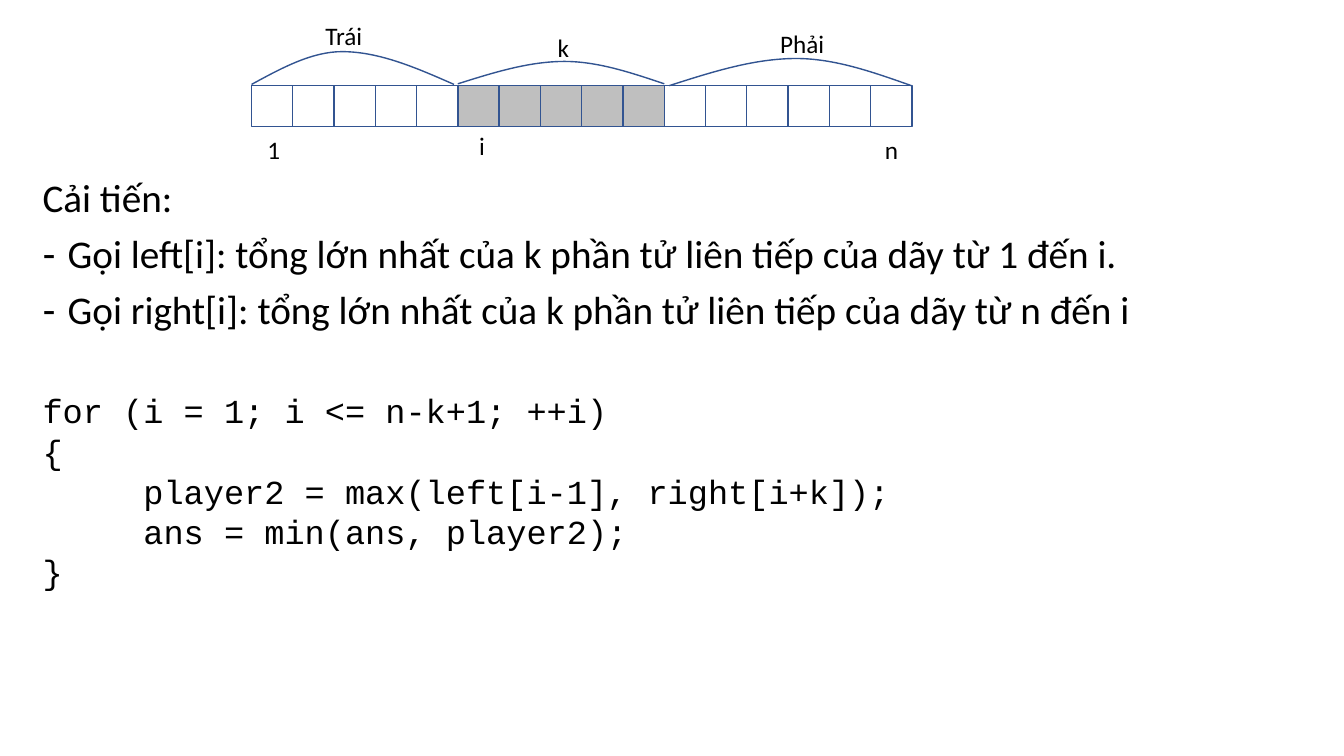
from typing import NamedTuple

from lxml import etree
from pptx import Presentation
from pptx.dml.color import RGBColor
from pptx.enum.shapes import MSO_SHAPE
from pptx.enum.text import MSO_ANCHOR, MSO_AUTO_SIZE, PP_ALIGN
from pptx.oxml.ns import qn
from pptx.util import Pt

RECT = MSO_SHAPE.RECTANGLE
TOP = MSO_ANCHOR.TOP
NO_FIT = MSO_AUTO_SIZE.NONE
LEFT, CENTER = PP_ALIGN.LEFT, PP_ALIGN.CENTER

BLUE, GREY, BLACK = "325491", "BFBFBF", "000000"
BODY_FONT, CODE_FONT = "Calibri", "Courier New"
ROW_LEFT, ROW_TOP, CELL = 179.7, 60.9, 29.48
CELL_COUNT = 16
WINDOW = range(5, 10)
BULLET_INDENT = 18
TAB_STOPS = (72, 144)


class Arc(NamedTuple):
    start: tuple[float, float]
    peak: tuple[float, float]
    end: tuple[float, float]


class Label(NamedTuple):
    text: str
    left: float
    top: float
    width: float
    align: PP_ALIGN


class Line(NamedTuple):
    text: str
    bullet: bool = False
    code: bool = False
    before: float = 0


ARCS = [
    Arc((179.7, 60.3), (244.3, 36.9), (324.3, 60.3)),
    Arc((327, 59.9), (403.2, 43.9), (474.5, 59.9)),
    Arc((478.1, 61.2), (568.8, 41.8), (651, 61.2)),
]
LABELS = [
    Label("k", 391.2, 19.2, 28.8, LEFT),
    Label("Trái", 225.4, 11.2, 47.5, LEFT),
    Label("Phải", 550.2, 17, 47.5, LEFT),
    Label("i", 329.6, 89.2, CELL, CENTER),
    Label("1", 180.9, 92.6, CELL, CENTER),
    Label("n", 622, 92.6, CELL, CENTER),
]
LINES = [
    Line("Cải tiến:", before=10),
    Line("Gọi left[i]: tổng lớn nhất của k phần tử liên tiếp của dãy từ 1 đến i.",
         bullet=True, before=10),
    Line("Gọi right[i]: tổng lớn nhất của k phần tử liên tiếp của dãy từ n đến i",
         bullet=True, before=10),
    Line("for (i = 1; i <= n-k+1; ++i)", code=True, before=40.5),
    Line("{", code=True),
    Line("\t\tplayer2 = max(left[i-1], right[i+k]);", code=True),
    Line("\t\tans = min(ans, player2);", code=True),
    Line("}", code=True),
]


def rgb(color: str) -> RGBColor:
    return RGBColor.from_string(color)


def format_with(target, values: dict) -> None:
    for name, value in values.items():
        setattr(target, name, value)


def add_run(p, text: str, size: float, font: str) -> None:
    r = p.add_run()
    r.text = text
    format_with(r.font, {"size": Pt(size), "name": font})
    r.font.color.rgb = rgb(BLACK)


def outline(sp, fill: str | None = None) -> None:
    sp.shadow.inherit = False
    if fill:
        sp.fill.solid()
        sp.fill.fore_color.rgb = rgb(fill)
    else:
        sp.fill.background()
    sp.line.color.rgb = rgb(BLUE)
    sp.line.width = Pt(1)


def add_arc(shapes, arc: Arc) -> None:
    def controls(foot: tuple[float, float]) -> list[tuple[int, int]]:
        """Control points between a foot and the level peak."""
        (x0, y0), (x1, y1) = foot, arc.peak
        return [(Pt(x0 + (x1 - x0) * across), Pt(y0 + (y1 - y0) * up))
                for across, up in ((0, 0), (1 / 3, 0.5), (2 / 3, 1), (1, 1))]

    points = controls(arc.start) + controls(arc.end)[-2::-1]
    builder = shapes.build_freeform(*points[0])
    builder.add_line_segments(points[1:], close=False)
    sp = builder.convert_to_shape()
    outline(sp)

    # Each three straight segments become one cubic curve
    segments = list(sp.element.iter(qn("a:lnTo")))
    for i in range(0, len(segments), 3):
        curve = etree.SubElement(segments[i].getparent(), qn("a:cubicBezTo"))
        for segment in segments[i:i + 3]:
            curve.append(segment[0])
            segment.getparent().remove(segment)


def add_label(shapes, label: Label) -> None:
    sp = shapes.add_textbox(Pt(label.left), Pt(label.top), Pt(label.width), Pt(29))
    tf = sp.text_frame
    tf.word_wrap = True
    p = tf.paragraphs[0]
    p.alignment = label.align
    add_run(p, label.text, 18, BODY_FONT)


def fill_line(p, line: Line) -> None:
    format_with(p, {"alignment": LEFT, "space_before": Pt(line.before),
                    "space_after": Pt(0), "line_spacing": 1.0 if line.code else 0.9})
    pPr = p._p.get_or_add_pPr()
    indent = Pt(BULLET_INDENT if line.bullet else 0)
    pPr.set("marL", str(indent))
    pPr.set("indent", str(-indent))
    if line.bullet:
        etree.SubElement(pPr, qn("a:buFontTx"))
        etree.SubElement(pPr, qn("a:buChar"), char="-")
    else:
        etree.SubElement(pPr, qn("a:buNone"))
    if line.code:
        tabs = etree.SubElement(pPr, qn("a:tabLst"))
        for stop in TAB_STOPS:
            etree.SubElement(tabs, qn("a:tab"), pos=str(Pt(stop)), algn="l")
    size, font = (24, CODE_FONT) if line.code else (28, BODY_FONT)
    add_run(p, line.text, size, font)


prs = Presentation()
prs.slide_width, prs.slide_height = Pt(960), Pt(540)
slide = prs.slides.add_slide(prs.slide_layouts[1])
shapes = slide.shapes

# The slide has body text but no title
title = shapes.title
title.element.getparent().remove(title.element)

# Explanation and code
body = slide.placeholders[1]
format_with(body, {"left": Pt(23.2), "top": Pt(123.8), "width": Pt(911.5), "height": Pt(396)})
tf = body.text_frame
format_with(tf, {"word_wrap": True, "auto_size": NO_FIT, "vertical_anchor": TOP})
for i, line in enumerate(LINES):
    fill_line(tf.add_paragraph() if i else tf.paragraphs[0], line)

# Array cells, with the window of k elements shaded
for i in range(CELL_COUNT):
    cell = shapes.add_shape(RECT, Pt(ROW_LEFT + i * CELL), Pt(ROW_TOP), Pt(CELL), Pt(CELL))
    outline(cell, GREY if i in WINDOW else None)

# Arcs over the three parts, and their labels
for arc in ARCS:
    add_arc(shapes, arc)
for label in LABELS:
    add_label(shapes, label)

prs.save("out.pptx")
